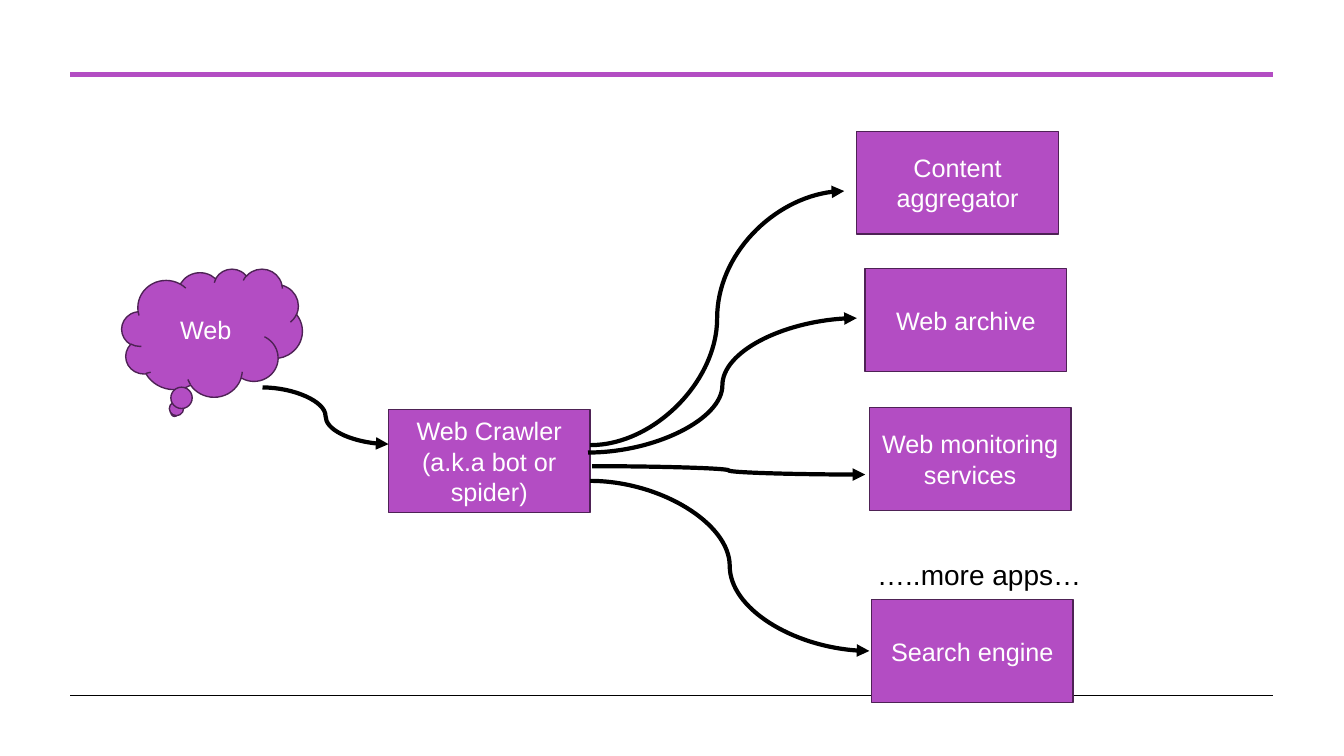
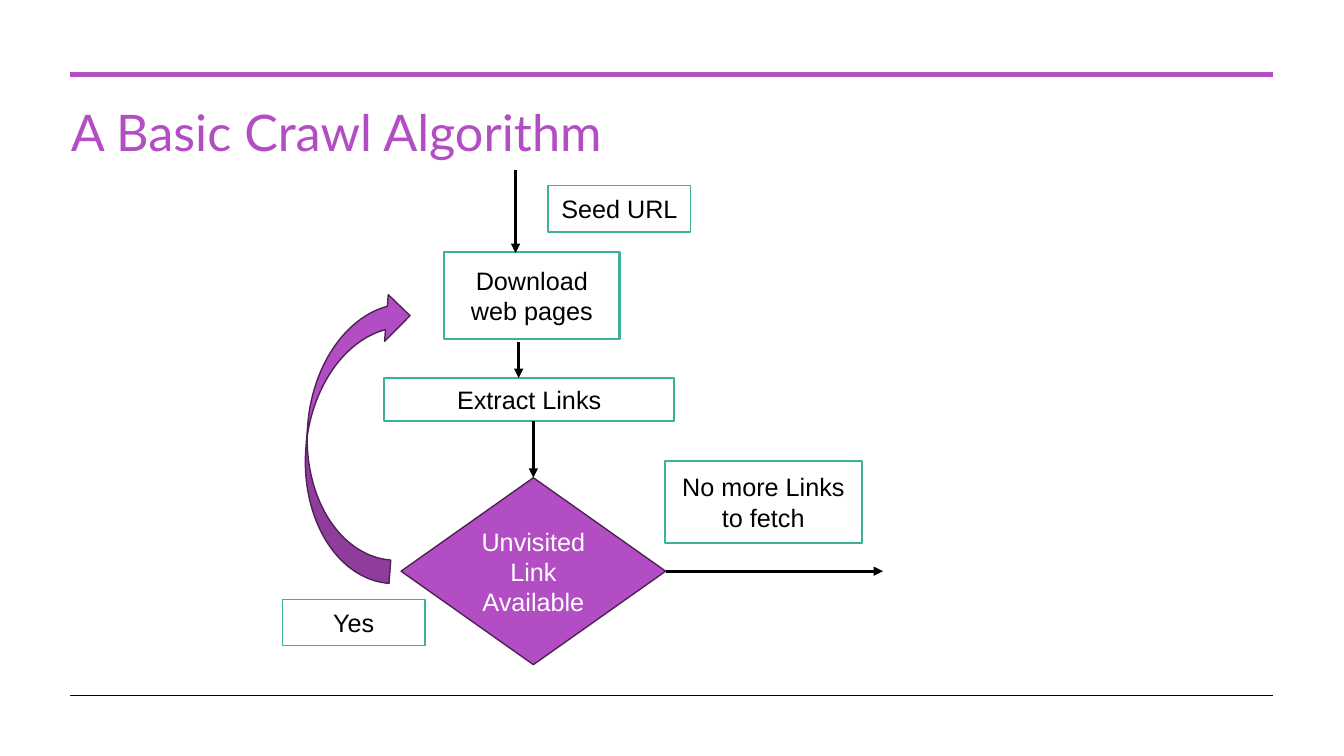
from lxml import etree
from pptx import Presentation
from pptx.dml.color import RGBColor
from pptx.enum.shapes import MSO_CONNECTOR, MSO_SHAPE
from pptx.enum.text import MSO_ANCHOR, PP_ALIGN
from pptx.oxml.ns import qn
from pptx.util import Pt

PX = 9525  # EMU in one px, 96 px to the inch
RECT, CLOUD = MSO_SHAPE.RECTANGLE, MSO_SHAPE.CLOUD_CALLOUT
RHOMB, BEND = MSO_SHAPE.DIAMOND, MSO_SHAPE.CURVED_DOWN_ARROW
LINE, CURVE = MSO_CONNECTOR.STRAIGHT, MSO_CONNECTOR.CURVE
MID, CENTER = MSO_ANCHOR.MIDDLE, PP_ALIGN.CENTER
COLORS = {name: RGBColor.from_string(code) for name, code in {
    "purple": "B34DC3", "plum": "4E2255", "green": "3BB197",
    "white": "FFFFFF", "black": "000000"}.items()}
# Fill, outline and text colour of each kind of box
STYLES = {"solid": ("purple", "plum", "white"),
          "plain": ("white", "green", "black")}


def add_box(slide, kind, place, text, style="solid", width=1):
    fill, edge, ink = STYLES[style]
    box = slide.shapes.add_shape(kind, *[n * PX for n in place])
    box.shadow.inherit = False
    box.fill.solid()
    box.fill.fore_color.rgb = COLORS[fill]
    box.line.color.rgb = COLORS[edge]
    box.line.width = Pt(width)
    if text:
        box.text_frame.word_wrap = True
        box.text_frame.vertical_anchor = MID
        para = box.text_frame.paragraphs[0]
        para.alignment = CENTER
        run = para.add_run()
        run.text = text
        run.font.name, run.font.size = "Arial", Pt(18)
        run.font.color.rgb = COLORS[ink]
    return box


def add_line(slide, kind, ends, color, width, arrow=True):
    line = slide.shapes.add_connector(kind, *[n * PX for n in ends])
    line.line.color.rgb = COLORS[color]
    line.line.width = Pt(width)
    if arrow:
        etree.SubElement(line.line._get_or_add_ln(), qn("a:tailEnd"), type="triangle")
    etree.SubElement(line._element.spPr, qn("a:effectLst"))
    return line


deck = Presentation()
deck.slide_width, deck.slide_height = 1280 * PX, 720 * PX

# Shared frame lines
slides = []
for _ in range(2):
    slide = deck.slides.add_slide(deck.slide_layouts[6])
    add_line(slide, LINE, (67, 71, 1212, 71), "purple", 3, False)
    add_line(slide, LINE, (67, 662, 1212, 662), "black", 0.5, False)
    slides.append(slide)
apps, steps = slides

# Free text: slide, place, words, font, size, colour, line spacing
for slide, place, words, font, size, color, gap in [
        (apps, (826, 526, 240, 40), "…..more apps…", "Arial", 20, "black", 1),
        (steps, (58, 100, 1154, 113), "A Basic Crawl Algorithm", "Lato", 36, "purple", 0.85)]:
    frame = slide.shapes.add_textbox(*[n * PX for n in place]).text_frame
    frame.word_wrap = True
    para = frame.paragraphs[0]
    para.line_spacing = gap
    run = para.add_run()
    run.text = words
    run.font.name, run.font.size = font, Pt(size)
    run.font.color.rgb = COLORS[color]

# Slide 1: the web, the crawler and the apps it feeds
add_box(apps, CLOUD, (116, 256, 172, 122), "Web")
for left, top, text in [
        (370, 390, "Web Crawler (a.k.a bot or spider)"),
        (816, 125, "Content aggregator"),
        (824, 256, "Web archive"),
        (828, 388, "Web monitoring services"),
        (830, 571, "Search engine")]:
    add_box(apps, RECT, (left, top, 192, 98), text)
for ends in [(250, 369, 370, 423), (562, 458, 828, 620), (562, 424, 804, 182),
             (560, 431, 816, 303), (564, 444, 824, 452)]:
    add_line(apps, CURVE, ends, "black", 3)

# Slide 2: steps of the crawl
for place, text, width in [
        ((423, 240, 167, 83), "Download web pages", 1.5),
        ((522, 177, 136, 44), "Seed URL", 1),
        ((366, 360, 276, 41), "Extract Links", 1.5),
        ((633, 439, 188, 78), "No more Links to fetch", 1.5),
        ((269, 571, 136, 44), "Yes", 1)]:
    add_box(steps, RECT, place, text, "plain", width)
test = add_box(steps, RHOMB, (382, 455, 252, 178), "Unvisited Link Available")
loop = add_box(steps, BEND, (198, 369, 278, 89), "")
loop.rotation = 274.5

# Slide 2: arrows between the steps
for ends in [(491, 162, 491, 241), (494, 326, 494, 360)]:
    add_line(steps, LINE, ends, "black", 2.25)
add_line(steps, LINE, (508, 401, 508, 455), "black", 2.25).end_connect(test, 0)
add_line(steps, LINE, (634, 544, 841, 544), "black", 2.25).begin_connect(test, 3)

deck.save("out.pptx")
